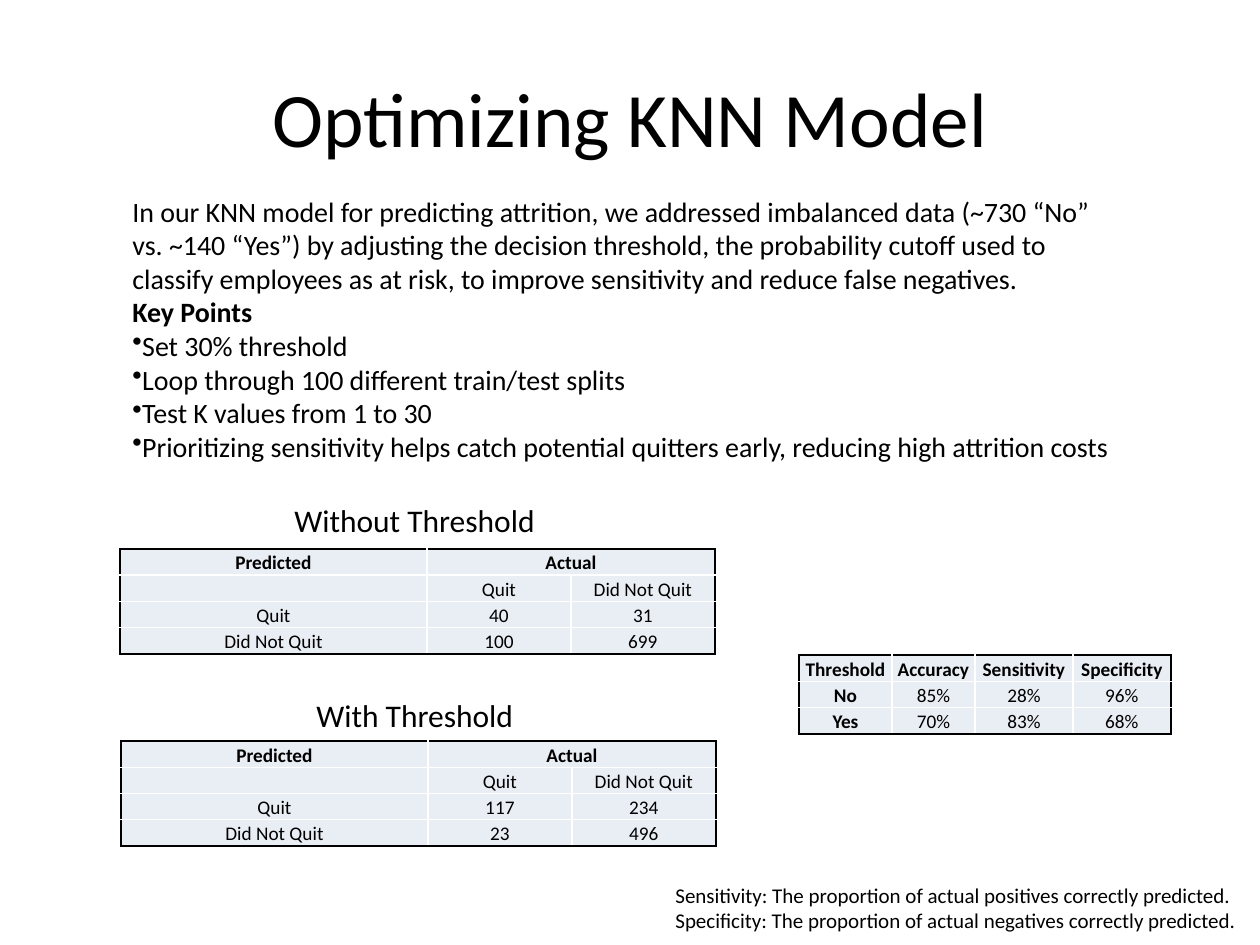
"""Build the slide on tuning a KNN attrition model with a decision threshold."""
from lxml.etree import SubElement
from pptx import Presentation
from pptx.dml.color import RGBColor
from pptx.enum.text import MSO_ANCHOR as Anchor, PP_ALIGN as Align
from pptx.oxml.ns import qn
from pptx.util import Pt

PX = 914400 / 126
INK, PALE, WHITE = "000000", "E9EDF4", "FFFFFF"


def px(length):
    return round(length * PX)


def write(paragraph, text, size, bold=False):
    span = paragraph.add_run()
    span.text = text
    for name, value in {"name": "Calibri", "size": Pt(size), "bold": bold}.items():
        setattr(span.font, name, value)
    span.font.color.rgb = RGBColor.from_string(INK)


deck = Presentation()
deck.slide_width, deck.slide_height = px(1260), px(945)
page = deck.slides.add_slide(deck.slide_layouts[6])

intro = (
    "In our KNN model for predicting attrition, we addressed imbalanced data "
    "(~730 “No” vs. ~140 “Yes”) by adjusting the decision threshold, the probability "
    "cutoff used to classify employees as at risk, to improve sensitivity and reduce "
    "false negatives."
)
key_points = [
    "Set 30% threshold",
    "Loop through 100 different train/test splits",
    "Test K values from 1 to 30",
    "Prioritizing sensitivity helps catch potential quitters early, reducing high attrition costs",
]
definitions = [
    "Sensitivity: The proportion of actual positives correctly predicted.",
    "Specificity: The proportion of actual negatives correctly predicted.",
]
texts = [
    ((63, 38, 1134, 157), 44, Align.CENTER, Anchor.MIDDLE, ["Optimizing KNN Model"]),
    ((120, 188, 1019, 285), 16, Align.LEFT, Anchor.TOP, [intro, "Key Points", *key_points]),
    ((282, 495, 277, 50), 18, Align.LEFT, Anchor.TOP, ["Without Threshold"]),
    ((304, 690, 228, 50), 18, Align.LEFT, Anchor.TOP, ["With Threshold"]),
    ((663, 876, 597, 63), 12, Align.LEFT, Anchor.TOP, definitions),
]
for place, size, align, anchor, lines in texts:
    frame = page.shapes.add_textbox(*map(px, place)).text_frame
    frame.word_wrap = True
    frame.vertical_anchor = anchor
    for index, line in enumerate(lines):
        paragraph = frame.add_paragraph() if index else frame.paragraphs[0]
        paragraph.alignment = align
        write(paragraph, line, size, bold=line == "Key Points")
        if line in key_points:
            SubElement(paragraph._p.get_or_add_pPr(), qn("a:buChar"), char="•")

confusion_head = [["Predicted", "Actual", ""], ["", "Quit", "Did Not Quit"]]
confusion_widths = [307, 144, 144]
summary = [
    ["Threshold", "Accuracy", "Sensitivity", "Specificity"],
    ["No", "85%", "28%", "96%"],
    ["Yes", "70%", "83%", "68%"],
]
tables = [
    (120, 549, 105, confusion_widths,
     confusion_head + [["Quit", "40", "31"], ["Did Not Quit", "100", "699"]]),
    (121, 741, 105, confusion_widths,
     confusion_head + [["Quit", "117", "234"], ["Did Not Quit", "23", "496"]]),
    (799, 655, 79, [93, 83, 98, 98], summary),
]
cell_format = {
    "vertical_anchor": Anchor.BOTTOM,
    "margin_left": px(1),
    "margin_right": px(1),
    "margin_top": px(1),
    "margin_bottom": 0,
}
for left, top, height, widths, rows in tables:
    place = map(px, (left, top, sum(widths), height))
    table = page.shapes.add_table(len(rows), len(widths), *place).table
    table.first_row = table.horz_banding = False
    for column, width in zip(table.columns, widths):
        column.width = px(width)
    if rows is not summary:
        table.cell(0, 1).merge(table.cell(0, 2))
    for y, row in enumerate(rows):
        for x, text in enumerate(row):
            cell = table.cell(y, x)
            for name, value in cell_format.items():
                setattr(cell, name, value)
            reach = cell.span_width if cell.is_merge_origin else 1
            outer = {
                "lnL": x == 0,
                "lnR": x + reach == len(row),
                "lnT": y == 0,
                "lnB": y == len(rows) - 1,
            }
            for side, is_outer in outer.items():
                line = SubElement(cell._tc.get_or_add_tcPr(), qn(f"a:{side}"), w="12700")
                fill = SubElement(line, qn("a:solidFill"))
                SubElement(fill, qn("a:srgbClr"), val=INK if is_outer else WHITE)
            cell.fill.solid()
            cell.fill.fore_color.rgb = RGBColor.from_string(PALE)
            paragraph = cell.text_frame.paragraphs[0]
            paragraph.alignment = Align.CENTER
            if text:
                write(paragraph, text, 11, bold=y == 0 or (rows is summary and x == 0))
            else:
                SubElement(paragraph._p, qn("a:endParaRPr"), sz="1100")

deck.save("out.pptx")
